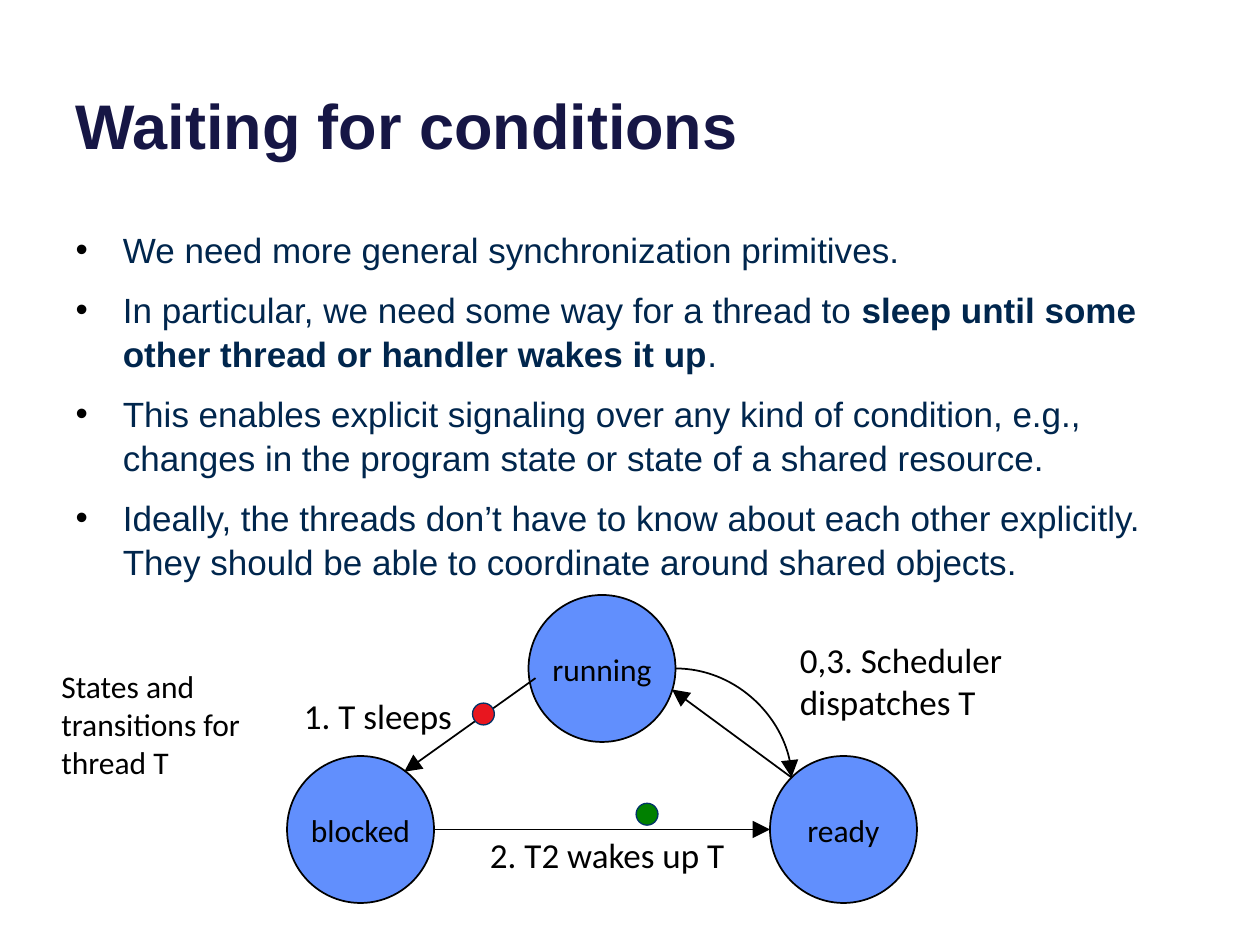
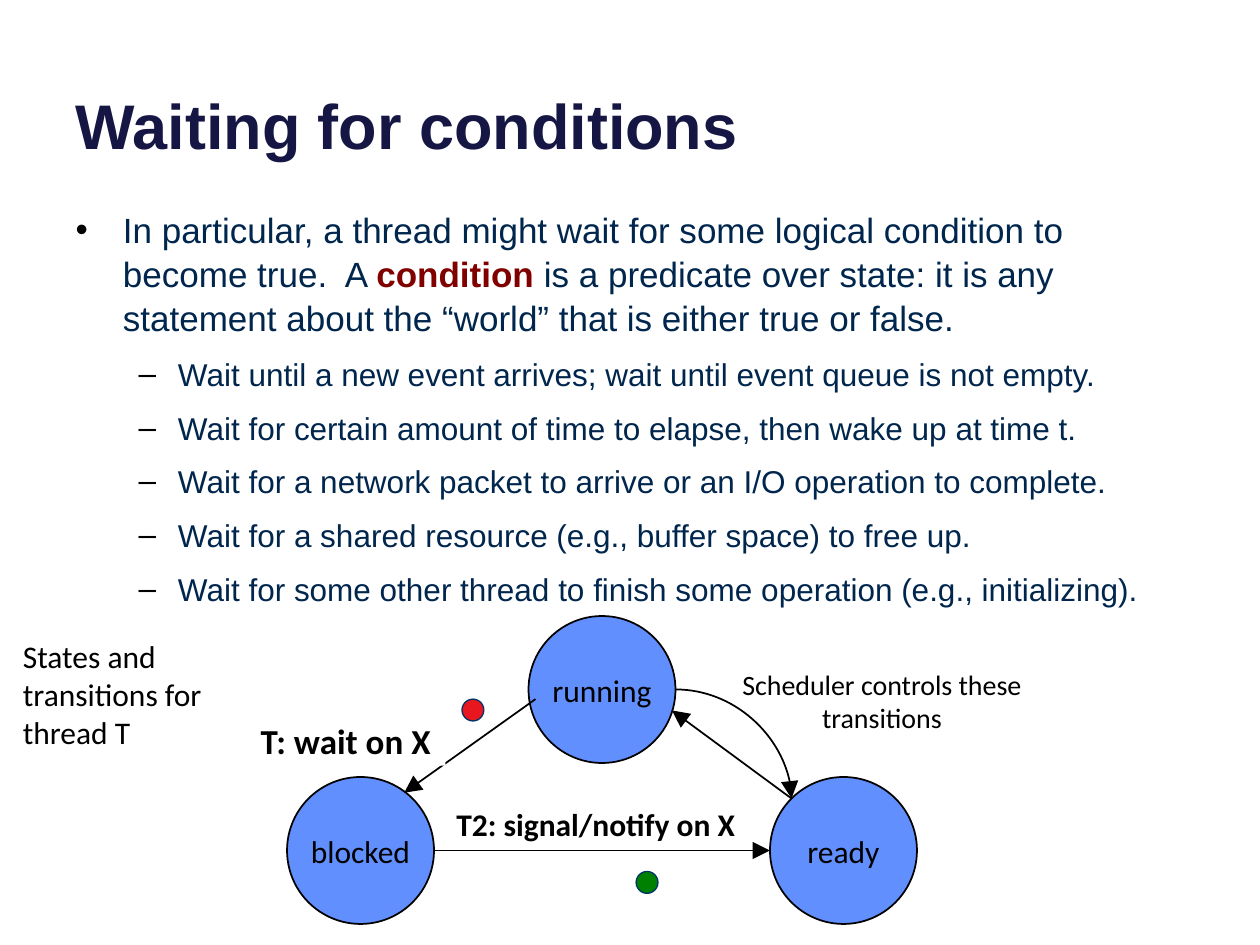
from dataclasses import dataclass
from math import sqrt

from lxml.etree import SubElement
from pptx import Presentation
from pptx.dml.color import RGBColor
from pptx.enum.shapes import MSO_CONNECTOR as CONN, MSO_SHAPE as SHAPE
from pptx.enum.text import MSO_ANCHOR as ANCHOR, MSO_AUTO_SIZE as AUTO, PP_ALIGN as ALIGN
from pptx.oxml.ns import qn
from pptx.util import Pt

COLORS = {
    "title": "161645",
    "body": "00264D",
    "term": "800000",
    "state": "618FFD",
    "black": "000000",
    "white": "FFFFFF",
    "sleep": "E8161F",
    "wake": "008000",
    "dot_line": "003367",
}
STATE_D = 84
DOT_D = 12.5
RUNNING_X, READY_X, BLOCKED_X = 302, 440, 164
LOWER_ROW = 92


@dataclass
class Level:
    char: str
    size: float
    margin: float
    hang: float
    before: float


@dataclass
class Bullet:
    runs: list[tuple[str, dict]]
    level: int = 0


@dataclass
class Label:
    text: str
    x: float
    y: float
    w: float
    h: float
    size: float = 20
    bold: bool = False
    align: ALIGN = ALIGN.CENTER
    fill: str | None = None


@dataclass
class Dot:
    x: float
    y: float
    fill: str


@dataclass
class Page:
    body_y: float
    body_h: float
    bullets: list[Bullet]
    diagram_y: float
    labels: list[Label]
    dots: list[Dot]


LEVELS = [Level("•", 20, 27, 27, 9), Level("–", 18, 58.5, 22.5, 8)]
TITLE = "Waiting for conditions"
CAPTION = "States and transitions for thread T"

PAGES = [
    Page(
        126, 324,
        [
            Bullet([("We need more general synchronization primitives.", {})]),
            Bullet([
                ("In particular, we need some way for a thread to ", {}),
                ("sleep until some other thread or handler wakes it up", {"bold": True}),
                (".", {}),
            ]),
            Bullet([("This enables explicit signaling over any kind of condition, e.g., "
                     "changes in the program state or state of a shared resource.", {})]),
            Bullet([("Ideally, the threads don’t have to know about each other explicitly. "
                     "They should be able to coordinate around shared objects.", {})]),
        ],
        340,
        [
            Label("1. T sleeps", 180, 394.5, 72, 29, fill="white"),
            Label("2. T2 wakes up T", 262, 472.5, 170, 31.5),
            Label("0,3. Scheduler dispatches T", 450, 361, 210, 55.5,
                  align=ALIGN.LEFT, fill="white"),
            Label(CAPTION, 28, 377, 144, 73, size=18, align=ALIGN.LEFT),
        ],
        [Dot(270, 401.75, "sleep"), Dot(363.5, 459, "wake")],
    ),
    Page(
        114.5, 234,
        [
            Bullet([
                ("In particular, a thread might wait for some logical condition to "
                 "become true.  A ", {}),
                ("condition ", {"bold": True, "color": "term"}),
                ("is a predicate over state: it is any statement about the “world” "
                 "that is either true or false.", {}),
            ]),
            *(Bullet([(text, {})], 1) for text in (
                "Wait until a new event arrives; wait until event queue is not empty.",
                "Wait for certain amount of time to elapse, then wake up at time t.",
                "Wait for a network packet to arrive or an I/O operation to complete.",
                "Wait for a shared resource (e.g., buffer space) to free up.",
                "Wait for some other thread to finish some operation (e.g., initializing).",
            )),
        ],
        352,
        [
            Label("T: wait on X", 140.5, 408.5, 114, 29, bold=True, fill="white"),
            Label("T2: signal/notify on X", 237.5, 456, 206, 29, size=18, bold=True),
            Label("Scheduler controls these transitions", 414, 377.5, 180, 46, size=16),
            Label(CAPTION, 6, 360, 144, 73, size=18, align=ALIGN.LEFT),
        ],
        [Dot(264, 399.5, "sleep"), Dot(363.5, 498, "wake")],
    ),
]


def rgb(name: str) -> RGBColor:
    return RGBColor.from_string(COLORS[name])


def add_text(p, text: str, *, size: float, font: str = "Calibri",
             color: str = "black", bold: bool = False) -> None:
    r = p.add_run()
    r.text = text
    r.font.name = font
    r.font.size = Pt(size)
    r.font.bold = bold
    r.font.color.rgb = rgb(color)


def place(sp, x: float, y: float, w: float, h: float) -> None:
    sp.left, sp.top, sp.width, sp.height = Pt(x), Pt(y), Pt(w), Pt(h)


def set_frame(tf, anchor: ANCHOR, wrap: bool = True) -> None:
    tf.word_wrap = wrap
    tf.auto_size = AUTO.NONE
    tf.vertical_anchor = anchor


def add_title(s) -> None:
    sp = s.shapes.title
    place(sp, 36, -26.5, 648, 122.5)
    set_frame(sp.text_frame, ANCHOR.BOTTOM)
    p = sp.text_frame.paragraphs[0]
    p.alignment = ALIGN.LEFT
    add_text(p, TITLE, size=36, font="Arial", color="title", bold=True)


def set_bullet(p, level: Level) -> None:
    pPr = p._p.get_or_add_pPr()
    pPr.set("marL", str(Pt(level.margin)))
    pPr.set("indent", str(-Pt(level.hang)))
    clr = SubElement(pPr, qn("a:buClr"))
    SubElement(clr, qn("a:srgbClr"), val=COLORS["black"])
    SubElement(pPr, qn("a:buFont"), typeface="Arial")
    SubElement(pPr, qn("a:buChar"), char=level.char)


def add_body(s, page: Page) -> None:
    sp = s.placeholders[1]
    place(sp, 36, page.body_y, 648, page.body_h)
    tf = sp.text_frame
    set_frame(tf, ANCHOR.TOP)
    for i, bullet in enumerate(page.bullets):
        p = tf.add_paragraph() if i else tf.paragraphs[0]
        level = LEVELS[bullet.level]
        p.level = bullet.level
        p.line_spacing = 1.05
        p.space_before = Pt(level.before if i else 0)
        set_bullet(p, level)
        for text, fmt in bullet.runs:
            add_text(p, text, **{"size": level.size, "font": "Arial", "color": "body", **fmt})


def add_circle(s, x: float, y: float, d: float, fill: str, line: str, width: float):
    sp = s.shapes.add_shape(SHAPE.OVAL, Pt(x), Pt(y), Pt(d), Pt(d))
    sp.shadow.inherit = False
    sp.fill.solid()
    sp.fill.fore_color.rgb = rgb(fill)
    sp.line.color.rgb = rgb(line)
    sp.line.width = Pt(width)
    return sp


def add_state(s, name: str, x: float, y: float) -> None:
    sp = add_circle(s, x, y, STATE_D, "state", "black", 1)
    set_frame(sp.text_frame, ANCHOR.MIDDLE, wrap=False)
    p = sp.text_frame.paragraphs[0]
    p.alignment = ALIGN.CENTER
    add_text(p, name, size=18)


def add_arrow(s, start: tuple[float, float], end: tuple[float, float],
              curved: bool = False) -> None:
    kind = CONN.CURVE if curved else CONN.STRAIGHT
    cx = s.shapes.add_connector(kind, *(Pt(v) for v in (*start, *end)))
    cx.line.color.rgb = rgb("black")
    cx.line.width = Pt(1)
    spPr = cx._element.spPr
    if curved:
        spPr.find(qn("a:prstGeom")).set("prst", "curvedConnector2")
    SubElement(spPr.find(qn("a:ln")), qn("a:tailEnd"), type="triangle", w="lg", len="lg")
    SubElement(spPr, qn("a:effectLst"))


def add_label(s, label: Label) -> None:
    sp = s.shapes.add_textbox(Pt(label.x), Pt(label.y), Pt(label.w), Pt(label.h))
    if label.fill:
        sp.fill.solid()
        sp.fill.fore_color.rgb = rgb(label.fill)
    wrap = label.fill is None or label.align == ALIGN.LEFT
    set_frame(sp.text_frame, ANCHOR.MIDDLE, wrap)
    p = sp.text_frame.paragraphs[0]
    p.alignment = label.align
    add_text(p, label.text, size=label.size, bold=label.bold)


def add_diagram(s, top: float) -> None:
    radius = STATE_D / 2
    corner = radius - radius / sqrt(2)
    lower = top + LOWER_ROW
    ready_corner = (READY_X + corner, lower + corner)
    add_state(s, "running", RUNNING_X, top)
    add_state(s, "ready", READY_X, lower)
    add_state(s, "blocked", BLOCKED_X, lower)
    add_arrow(s, (RUNNING_X + 4, top + 47.5), (231, top + 101))
    add_arrow(s, (BLOCKED_X + STATE_D, lower + radius), (READY_X, lower + radius))
    add_arrow(s, (RUNNING_X + STATE_D, top + radius), ready_corner, curved=True)
    add_arrow(s, ready_corner, (RUNNING_X + STATE_D - 2, top + 54))


def add_page(prs, page: Page) -> None:
    s = prs.slides.add_slide(prs.slide_layouts[1])
    add_title(s)
    add_body(s, page)
    add_diagram(s, page.diagram_y)
    for label in page.labels:
        add_label(s, label)
    for dot in page.dots:
        add_circle(s, dot.x, dot.y, DOT_D, dot.fill, "dot_line", 0.75)


def main() -> None:
    prs = Presentation()
    prs.slide_width, prs.slide_height = Pt(720), Pt(540)
    for page in PAGES:
        add_page(prs, page)
    prs.save("out.pptx")


if __name__ == "__main__":
    main()
